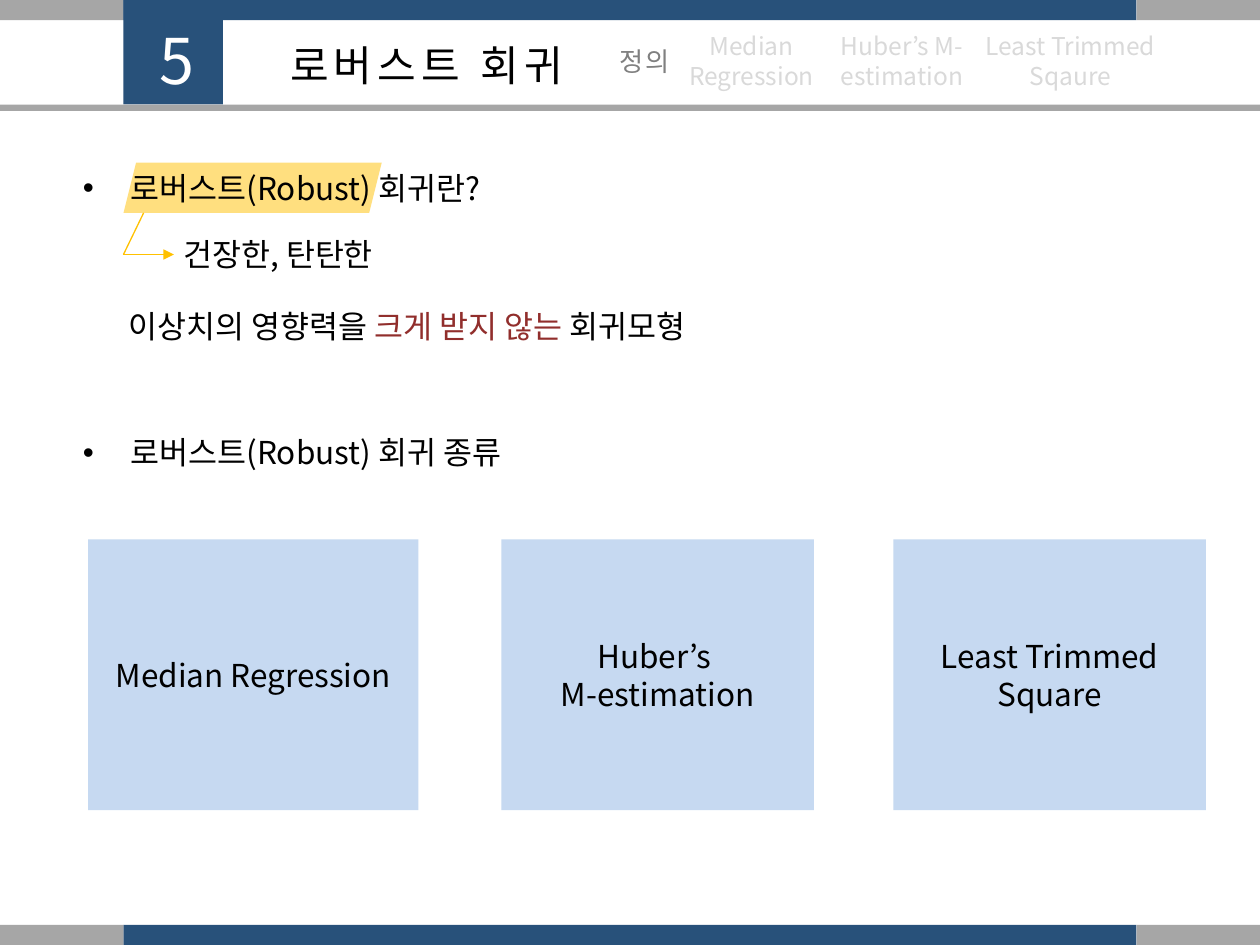
from lxml.etree import SubElement as Sub
from pptx import Presentation
from pptx.dml.color import RGBColor
from pptx.enum.shapes import MSO_CONNECTOR as Conn, MSO_SHAPE as Kind
from pptx.enum.text import MSO_ANCHOR as Anchor, PP_ALIGN as Align
from pptx.oxml.ns import qn
from pptx.util import Inches, Pt

FONT = "Noto Sans CJK KR"
NAVY, GRAY, GOLD, SKY = "28517A", "A6A6A6", "FFC100", "C6D9F1"
BLACK, WHITE, RED, DIM, PALE = "000000", "FFFFFF", "912E2C", "808080", "D9D9D9"
W, H, BAR, EDGE = 10, 7.5, 0.16, 0.98

TITLE = "로버스트 회귀"
TABS = [
    ("5", (0.97, 0.12, 0.87, 0.71), 36, WHITE, 3),
    ("정의", (4.76, 0.31, 0.71, 0.35), 15, DIM, 1),
    ("Median Regression", (5.15, 0.2, 1.63, 0.57), 14, PALE, 0),
    ("Huber’s M-estimation", (6.41, 0.2, 1.5, 0.57), 14, PALE, 0),
    ("Least Trimmed Sqaure", (7.68, 0.2, 1.63, 0.57), 14, PALE, 0),
]
HEADS = [("로버스트(Robust) 회귀란?", 1.29), ("로버스트(Robust) 회귀 종류", 3.39)]
MEANING = " 건장한, 탄탄한"
CLAIM = [("이상치의 영향력을 ", BLACK), ("크게 받지 않는 ", RED), ("회귀모형", BLACK)]
CARDS = [
    (["Median Regression"], 0.7, 2.62),
    (["Huber’s ", "M-estimation"], 3.98, 2.48),
    (["Least Trimmed", "Square"], 7.09, 2.48),
]
ARROW = [(1.14, 1.69), (EDGE, 2.02), (1.38, 2.02)]


def rgb(code):
    """Turn a hex string into a colour."""
    return RGBColor.from_string(code)


def style(para, size=18, color=BLACK, gap=0, align=None):
    """Format one paragraph."""
    para.alignment = align
    font = para.font
    font.size, font.name, font.bold = Pt(size), FONT, False
    font.color.rgb = rgb(color)
    props = para._p.pPr.find(qn("a:defRPr"))
    props.set("spc", str(gap * 100))
    Sub(props, qn("a:ea"), typeface=FONT)


def block(box, color, kind=Kind.RECTANGLE):
    """Add a plain filled shape."""
    shape = slide.shapes.add_shape(kind, *map(Inches, box))
    shape.shadow.inherit = False
    shape.fill.solid()
    shape.fill.fore_color.rgb = rgb(color)
    shape.line.fill.background()
    return shape


def label(runs, box, size=18, color=BLACK, gap=0, align=None):
    """Add a text box made of coloured runs and return its paragraph."""
    frame = slide.shapes.add_textbox(*map(Inches, box)).text_frame
    frame.word_wrap = True
    para = frame.paragraphs[0]
    for text, tint in runs:
        run = para.add_run()
        run.text = text
        if tint != color:
            run.font.color.rgb = rgb(tint)
    style(para, size, color, gap, align)
    return para


def bullet(para):
    """Give a paragraph a hanging round bullet."""
    props = para._p.get_or_add_pPr()
    props.set("marL", str(Inches(0.38)))
    props.set("indent", str(-Inches(0.38)))
    Sub(props, qn("a:buFont"), typeface="Arial")
    Sub(props, qn("a:buChar"), char="•")
    props.append(props.find(qn("a:defRPr")))


def line(start, end):
    """Add a thin gold line."""
    link = slide.shapes.add_connector(Conn.STRAIGHT, *map(Inches, start + end))
    link.line.color.rgb = rgb(GOLD)
    link.line.width = Pt(0.75)
    Sub(link._element.spPr, qn("a:effectLst"))
    return link


deck = Presentation()
deck.slide_width, deck.slide_height = Inches(W), Inches(H)
slide = deck.slides.add_slide(deck.slide_layouts[5])

for top in (0, H - BAR):
    block((EDGE, top, W - 2 * EDGE, BAR), NAVY)
    for left in (0, W - EDGE):
        block((left, top, EDGE, BAR), GRAY)
block((EDGE, 0, 0.79, 0.83), NAVY)
block((0, 0.83, W, 0.05), GRAY)

title = slide.shapes.title
title.left, title.top, title.width, title.height = map(Inches, (1.3, 0.26, 4.17, 0.5))
title.text_frame.text = TITLE
title.text_frame.vertical_anchor = Anchor.TOP
style(title.text_frame.paragraphs[0], 24, gap=3, align=Align.CENTER)

for text, box, size, color, gap in TABS:
    label([(text, color)], box, size, color, gap, Align.CENTER)

mark = block((EDGE, 1.29, 2.05, 0.4), GOLD, Kind.PARALLELOGRAM)
Sub(mark.fill._xPr.find(qn("a:solidFill"))[0], qn("a:alpha"), val="50000")
for text, top in HEADS:
    bullet(label([(text, BLACK)], (0.56, top, 7.17, 0.4)))
label([(MEANING, BLACK)], (1.3, 1.82, 1.95, 0.4))
label(CLAIM, (0.92, 2.39, 7.43, 0.4))

for rows, left, wide in CARDS:
    frame = block((left, 4.28, wide, 2.15), SKY).text_frame
    frame.vertical_anchor = Anchor.MIDDLE
    frame.text = "\n".join(rows)
    for para in frame.paragraphs:
        style(para, align=Align.CENTER)

line(*ARROW[:2])
tip = line(*ARROW[1:])
Sub(tip.line._get_or_add_ln(), qn("a:tailEnd"), type="triangle")

deck.save("out.pptx")
